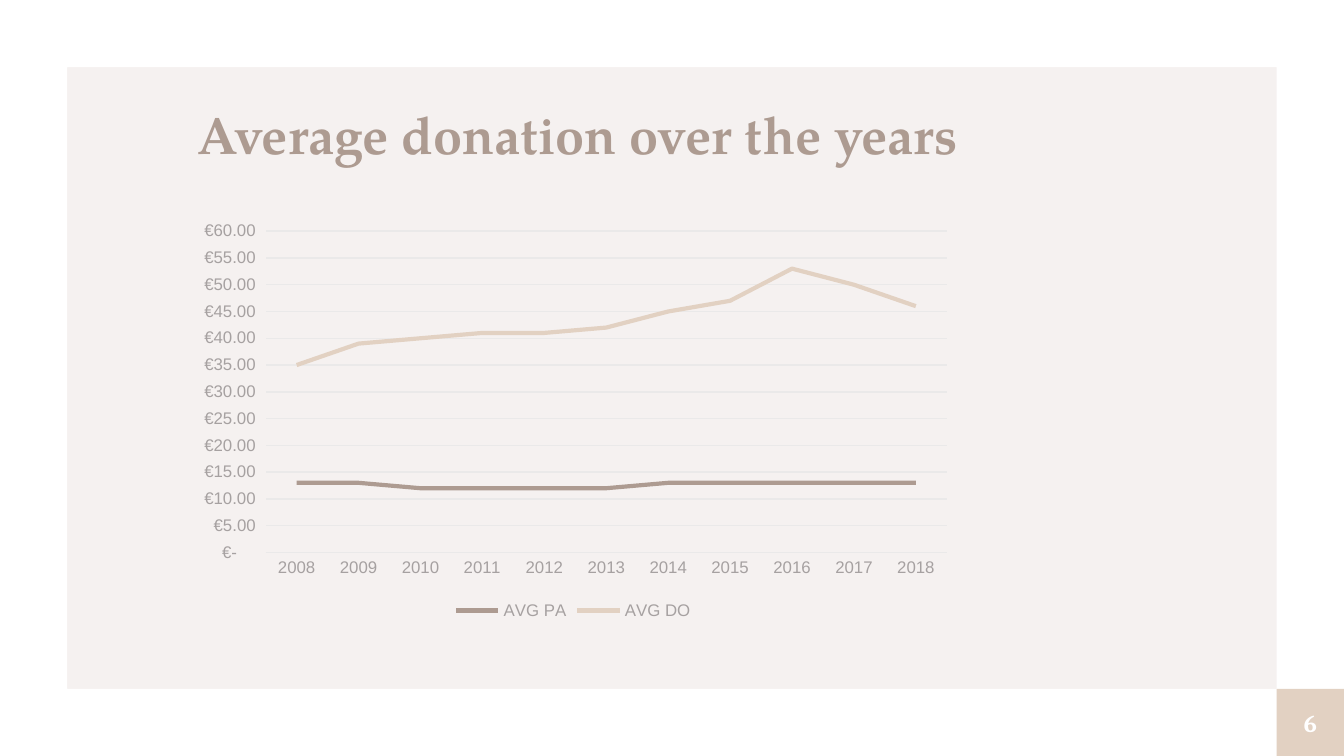
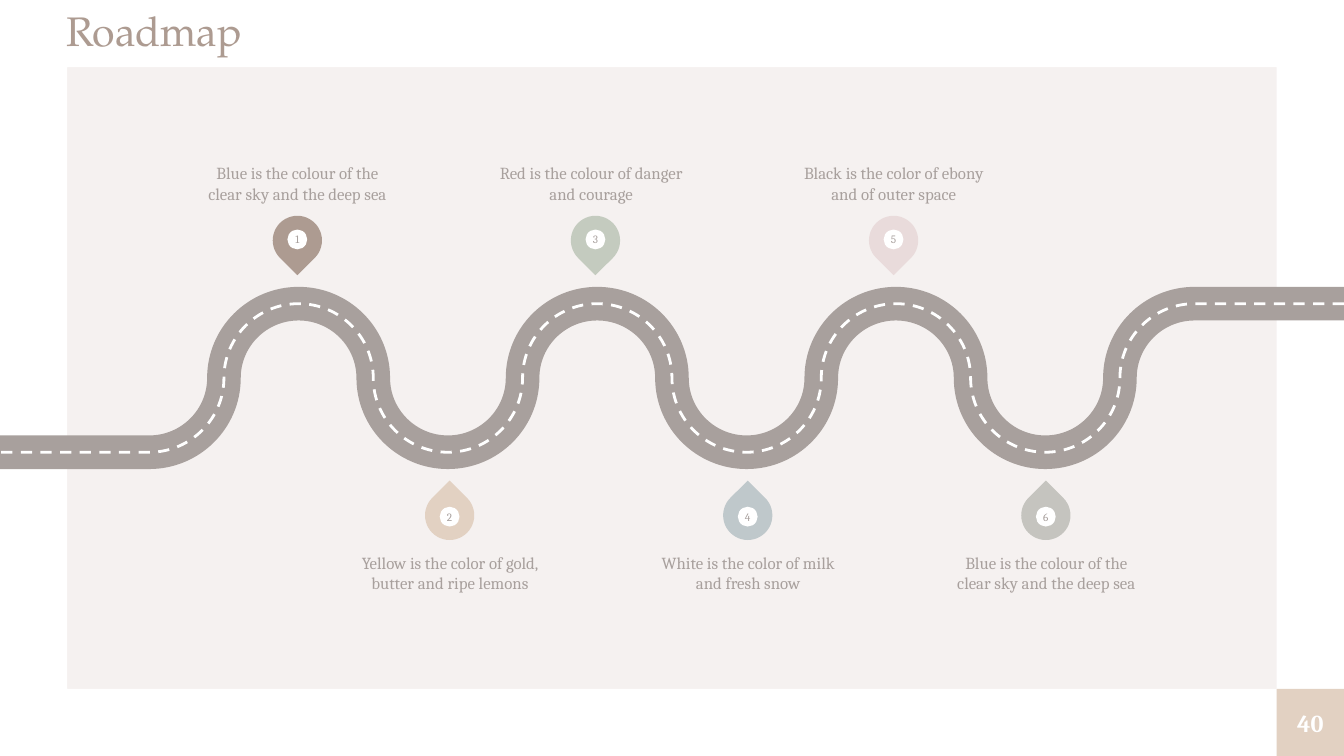
from lxml.etree import SubElement
from pptx import Presentation
from pptx.chart.data import CategoryChartData
from pptx.dml.color import RGBColor
from pptx.enum.chart import XL_CHART_TYPE, XL_LEGEND_POSITION, XL_TICK_MARK
from pptx.enum.dml import MSO_LINE
from pptx.enum.shapes import MSO_SHAPE
from pptx.enum.text import MSO_ANCHOR, MSO_AUTO_SIZE, PP_ALIGN
from pptx.oxml.ns import qn
from pptx.util import Pt

TAUPE, SAND, ROAD, WHITE = "AD9B91", "E2D1C2", "A8A09D", "FFFFFF"
PANEL, GRID, AXIS_TEXT, CHART_TEXT = "F5F1F0", "EAE9E9", "A6A1A1", "756F6F"
TITLE_FONT, BODY_FONT, CHART_FONT = "TeX Gyre Pagella", "Cambria", "Arial"
FLUSH = dict.fromkeys(("margin_left", "margin_top", "margin_right", "margin_bottom"), 0)
MIDDLE = {**FLUSH, "vertical_anchor": MSO_ANCHOR.MIDDLE}
CENTRED = {"alignment": PP_ALIGN.CENTER}


def paint(fill, colour):
    fill.solid()
    fill.fore_color.rgb = RGBColor.from_string(colour)


def write(shape, text, colour, frame_format, paragraph_format, font_format):
    frame = shape.text_frame
    frame.word_wrap = True
    frame.text = text
    paragraph = frame.paragraphs[0]
    for target, values in (
        (frame, frame_format),
        (paragraph, paragraph_format),
        (paragraph.runs[0].font, font_format),
    ):
        for name, value in values.items():
            setattr(target, name, value)
    paint(paragraph.runs[0].font.fill, colour)


deck = Presentation()
deck.slide_width, deck.slide_height = Pt(720), Pt(405)

slides = []
for page_number in ("6", "40"):
    slide = deck.slides.add_slide(deck.slide_layouts[6])
    paint(slide.background.fill, PANEL)
    border = slide.shapes.add_shape(MSO_SHAPE.FRAME, 0, 0, deck.slide_width, deck.slide_height)
    border.adjustments[0] = 36 / 405
    page_tab = slide.shapes.add_shape(MSO_SHAPE.RECTANGLE, Pt(684), Pt(369), Pt(36), Pt(36))
    for part, colour in ((border, WHITE), (page_tab, SAND)):
        paint(part.fill, colour)
        part.line.fill.background()
        part.shadow.inherit = False
    write(page_tab, page_number, WHITE, MIDDLE, CENTRED,
          {"name": BODY_FONT, "size": Pt(13), "bold": True})
    slides.append(slide)
donations, roadmap = slides

donation_title = donations.shapes.add_textbox(Pt(98.6), Pt(51), Pt(605.5), Pt(41))
write(donation_title, "Average donation over the years", TAUPE,
      {"auto_size": MSO_AUTO_SIZE.SHAPE_TO_FIT_TEXT}, {},
      {"name": TITLE_FONT, "size": Pt(28), "bold": True})

averages = CategoryChartData()
averages.categories = [str(year) for year in range(2008, 2019)]
averages.add_series("AVG PA", (13, 13, 12, 12, 12, 12, 13, 13, 13, 13, 13))
averages.add_series("AVG DO", (35, 39, 40, 41, 41, 42, 45, 47, 53, 50, 46))
chart = donations.shapes.add_chart(
    XL_CHART_TYPE.LINE, Pt(98.6), Pt(114.2), Pt(417), Pt(221), averages).chart
chart.has_title = False
chart.has_legend = True
chart.legend.position = XL_LEGEND_POSITION.BOTTOM
chart.legend.include_in_layout = False
chart.plots[0].vary_by_categories = False
years, euros = chart.category_axis, chart.value_axis

for font, size, colour in (
    (chart.font, 10, CHART_TEXT),
    (chart.legend.font, 9, AXIS_TEXT),
    (years.tick_labels.font, 9, AXIS_TEXT),
    (euros.tick_labels.font, 9, AXIS_TEXT),
):
    font.name, font.size = CHART_FONT, Pt(size)
    paint(font.fill, colour)

for axis in (years, euros):
    axis.major_tick_mark = axis.minor_tick_mark = XL_TICK_MARK.NONE
euro_scale = {"minimum_scale": 0, "maximum_scale": 60, "major_unit": 5,
              "has_major_gridlines": True}
for name, value in euro_scale.items():
    setattr(euros, name, value)
euros.tick_labels.number_format = (
    '_("€"* #,##0.00_);_("€"* \\(#,##0.00\\);_("€"* "-"??_);_(@_)')
euros.tick_labels.number_format_is_linked = False
euros.format.line.fill.background()

for line, colour, width in (
    (years.format.line, GRID, 0.75),
    (euros.major_gridlines.format.line, GRID, 0.75),
    (chart.series[0].format.line, TAUPE, 2.25),
    (chart.series[1].format.line, SAND, 2.25),
):
    paint(line.fill, colour)
    line.width = Pt(width)
for series in chart.series:
    series.smooth = False

road_top, road_middle, road_bottom = 162.7, 202.5, 242.3
heights = (road_top, road_middle, road_bottom, road_middle)
bend_radius, handle = 40, 22
route = [(640, road_top)]
for quarter in range(14):
    x = 640 - bend_radius * quarter
    next_x = x - bend_radius
    y, next_y = heights[quarter % 4], heights[(quarter + 1) % 4]
    reach = handle if next_y > y else -handle
    if quarter % 2:
        route += [(x, y + reach), (next_x + handle, next_y), (next_x, next_y)]
    else:
        route += [(x - handle, y), (next_x, next_y - reach), (next_x, next_y)]
route.append((0, road_bottom))

for colour, width, dash in ((ROAD, 18, None), (WHITE, 1.5, MSO_LINE.DASH)):
    outline = roadmap.shapes.build_freeform(Pt(720), Pt(road_top))
    outline.add_line_segments([(Pt(x), Pt(y)) for x, y in route], close=False)
    road = outline.convert_to_shape()
    segments = list(road.element.iter(qn("a:lnTo")))[1:-1]
    for start in range(0, len(segments), 3):
        curve = SubElement(segments[start].getparent(), qn("a:cubicBezTo"))
        segments[start].addprevious(curve)
        for segment in segments[start:start + 3]:
            curve.append(segment[0])
            segment.getparent().remove(segment)
    road.fill.background()
    road.shadow.inherit = False
    paint(road.line.fill, colour)
    road.line.width = Pt(width)
    if dash:
        road.line.dash_style = dash

milestones = (
    ("Blue is the colour of the clear sky and the deep sea", TAUPE, 108.5),
    ("Yellow is the color of gold, butter and ripe lemons", SAND, 190.2),
    ("Red is the colour of danger and courage", "C4CBBF", 265.9),
    ("White is the color of milk and fresh snow", "BFC8CB", 350),
    ("Black is the color of ebony and of outer space", "E9DBDB", 428),
    ("Blue is the colour of the clear sky and the deep sea", "C5C4BF", 509.7),
)
above = (146.1, 115.6, 123, 135, 67.2, MSO_ANCHOR.BOTTOM)
below = (227.7, 262.9, 271.5, 315, 296, MSO_ANCHOR.TOP)
for index, (caption, colour, caption_left) in enumerate(milestones):
    first_left, pin_top, dot_top, turn, caption_top, anchor = below if index % 2 else above
    pin_left = first_left + 159.7 * (index // 2)
    marker = roadmap.shapes.add_group_shape().shapes
    pin = marker.add_shape(MSO_SHAPE.TEAR, Pt(pin_left), Pt(pin_top), Pt(26.4), Pt(26.4))
    pin.rotation = turn
    dot = marker.add_shape(MSO_SHAPE.OVAL, Pt(pin_left + 7.9), Pt(dot_top), Pt(10.6), Pt(10.6))
    for part, part_colour in ((pin, colour), (dot, WHITE)):
        paint(part.fill, part_colour)
        part.line.fill.background()
        part.shadow.inherit = False
    write(dot, str(index + 1), ROAD, MIDDLE, CENTRED, {"name": BODY_FONT, "size": Pt(6)})
    label = roadmap.shapes.add_textbox(Pt(caption_left), Pt(caption_top), Pt(101.5), Pt(41.8))
    write(label, caption, ROAD, {**FLUSH, "vertical_anchor": anchor}, CENTRED,
          {"name": BODY_FONT, "size": Pt(9)})

roadmap_title = roadmap.shapes.add_textbox(Pt(35.7), 0, Pt(648), Pt(36))
write(roadmap_title, "Roadmap", TAUPE, MIDDLE, {"line_spacing": 0.9},
      {"name": TITLE_FONT, "size": Pt(22)})

deck.save("out.pptx")
